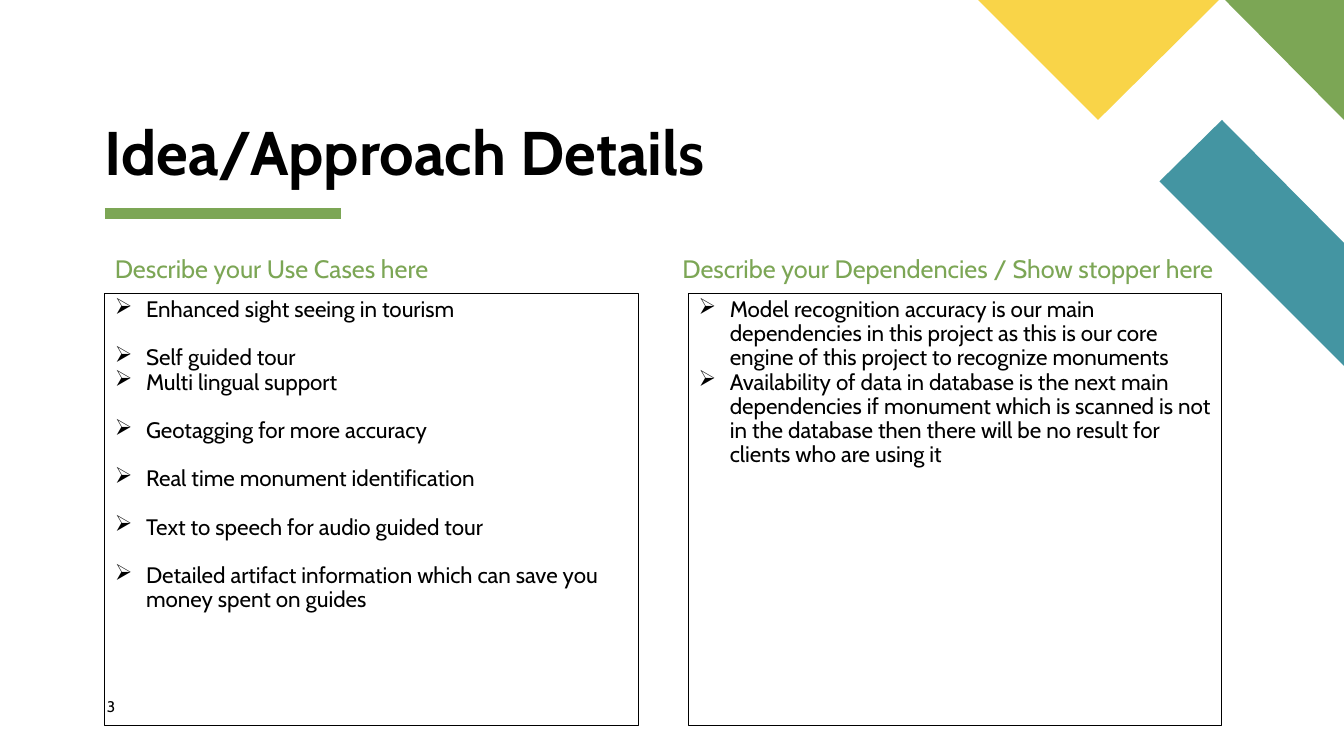
from lxml import etree
from pptx import Presentation
from pptx.dml.color import RGBColor
from pptx.enum import shapes, text
from pptx.oxml import ns
from pptx.util import Inches, Pt

BLACK, GREEN, TEAL, YELLOW = "000000", "7CA655", "4495A2", "F9D448"


def color(hex_value):
    return RGBColor.from_string(hex_value)


def write(shape, lines, size, ink=BLACK, bold=False, inset=(0.1, 0.05), spacing=0.9,
          anchor=text.MSO_ANCHOR.TOP):
    """Fill the shape with one left-aligned paragraph per line and return the paragraphs."""
    frame = shape.text_frame
    across, down = map(Inches, inset)
    frame_format = {"word_wrap": True, "vertical_anchor": anchor,
                    "margin_left": across, "margin_right": across,
                    "margin_top": down, "margin_bottom": down}
    for name, value in frame_format.items():
        setattr(frame, name, value)
    frame.text = "\n".join(lines)
    for paragraph in frame.paragraphs:
        paragraph.alignment = text.PP_ALIGN.LEFT
        paragraph.line_spacing = spacing
        font = paragraph.runs[0].font
        font.name, font.size, font.bold = "Cabin", Pt(size), bold
        font.color.rgb = color(ink)
    return frame.paragraphs


deck = Presentation()
deck.slide_width, deck.slide_height = Inches(13.33), Inches(7.5)
slide = deck.slides.add_slide(deck.slide_layouts[6])
canvas = slide.shapes

# Title rule and corner decoration
rule = canvas.add_connector(shapes.MSO_CONNECTOR.STRAIGHT,
                            Inches(1.04), Inches(2.12), Inches(3.38), Inches(2.12))
rule.line.color.rgb = color(GREEN)
rule.line.width = Pt(8)
etree.SubElement(rule._element.spPr, ns.qn("a:effectLst"))

# Corners in hundredths of an inch, since freeform points are whole numbers
corner_pieces = [
    (TEAL, [(1333, 363), (1333, 241), (1212, 119), (1150, 180)]),
    (GREEN, [(1333, 119), (1333, 0), (1215, 0)]),
    (YELLOW, [(970, 0), (1089, 119), (1209, 0)]),
]
for fill, (start, *others) in corner_pieces:
    outline = canvas.build_freeform(*start, scale=Inches(0.01))
    outline.add_line_segments(others, close=True)
    piece = outline.convert_to_shape()
    piece.shadow.inherit = False
    piece.fill.solid()
    piece.fill.fore_color.rgb = color(fill)
    piece.line.fill.background()

title = canvas.add_textbox(Inches(1.04), Inches(1.2), Inches(6.32), Inches(0.67))
write(title, ["Idea/Approach Details"], 44, bold=True, inset=(0, 0),
      anchor=text.MSO_ANCHOR.BOTTOM)

# Two columns: heading left and width, panel left, then (point, space before in points)
LINE_GAP = 17.25
columns = [
    ("Describe your Use Cases here", 1.04, 5.29, 1.04, [
        ("Enhanced sight seeing in tourism", 0),
        ("Self guided tour", LINE_GAP),
        ("Multi lingual support", 0),
        ("Geotagging for more accuracy", LINE_GAP),
        ("Real time monument identification", LINE_GAP),
        ("Text to speech for audio guided tour", LINE_GAP),
        ("Detailed artifact information which can save you money spent on guides", LINE_GAP),
    ]),
    ("Describe your Dependencies / Show stopper here", 6.67, 5.62, 6.83, [
        ("Model recognition accuracy is our main dependencies in this project as this is "
         "our core engine of this project to recognize monuments", 0),
        ("Availability of data in database is the next main dependencies if monument which "
         "is scanned is not in the database then there will be no result for clients who "
         "are using it", 0),
    ]),
]
for heading_text, heading_left, heading_width, panel_left, points in columns:
    heading = canvas.add_textbox(Inches(heading_left), Inches(2.5),
                                 Inches(heading_width), Inches(0.35))
    write(heading, [heading_text], 18, GREEN)

    panel = canvas.add_shape(shapes.MSO_SHAPE.RECTANGLE, Inches(panel_left), Inches(2.91),
                             Inches(5.29), Inches(4.29))
    panel.shadow.inherit = False
    panel.fill.background()
    panel.line.color.rgb = color(BLACK)
    panel.line.width = Pt(0.75)
    paragraphs = write(panel, [point for point, _ in points], 16)
    for paragraph, (_, gap) in zip(paragraphs, points):
        paragraph.space_before = Pt(gap)
        properties = paragraph._p.get_or_add_pPr()
        properties.set("marL", str(Inches(0.31)))
        properties.set("indent", str(-Inches(0.31)))
        bullet_color = etree.SubElement(properties, ns.qn("a:buClr"))
        etree.SubElement(bullet_color, ns.qn("a:srgbClr"), val=BLACK)
        etree.SubElement(properties, ns.qn("a:buChar"), char="➢")

page_number = canvas.add_textbox(Inches(1.06), Inches(6.92), Inches(0.57), Inches(0.27))
write(page_number, ["3"], 11, inset=(0, 0), spacing=1.0)

deck.save("out.pptx")
